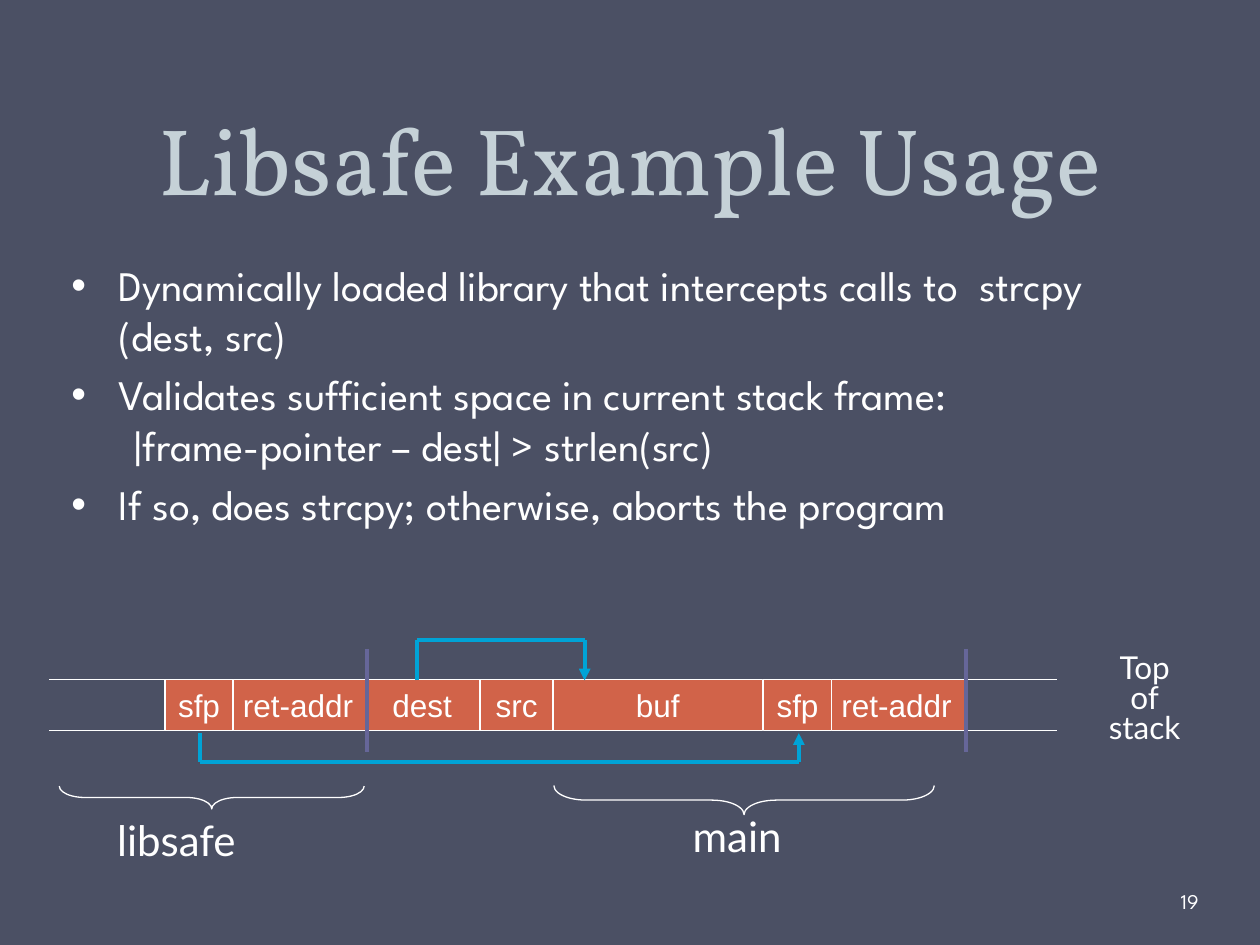
from dataclasses import dataclass
from itertools import pairwise

from lxml import etree
from pptx import Presentation
from pptx.dml.color import RGBColor
from pptx.enum.shapes import MSO_CONNECTOR, MSO_SHAPE
from pptx.enum.text import MSO_ANCHOR, PP_ALIGN
from pptx.oxml.ns import qn
from pptx.util import Pt

RECTANGLE, BRACE = MSO_SHAPE.RECTANGLE, MSO_SHAPE.LEFT_BRACE
STRAIGHT = MSO_CONNECTOR.STRAIGHT
TOP, MIDDLE, BOTTOM = MSO_ANCHOR.TOP, MSO_ANCHOR.MIDDLE, MSO_ANCHOR.BOTTOM
LEFT, CENTER = PP_ALIGN.LEFT, PP_ALIGN.CENTER


@dataclass(frozen=True)
class Theme:
    background: str = "4B5064"
    heading: str = "C5D1D7"
    light: str = "FFFFFF"
    cell: str = "D16349"
    boundary: str = "666699"
    pointer: str = "00A3D6"
    heading_font: str = "Vollkorn"
    body_font: str = "League Spartan"
    cell_font: str = "Arial"
    label_font: str = "Lato"
    title_size: float = 54
    body_size: float = 24
    cell_size: float = 18
    number_size: float = 12
    thin: float = 0.75
    thick: float = 2.25


def write(frame, *paragraphs, font, size, color, align=CENTER, anchor=TOP,
          wrap=False, line_spacing=None, gap=0, bullet_indent=0):
    """Fill a text frame; a newline in a paragraph becomes a line break."""
    frame.word_wrap = wrap
    frame.vertical_anchor = anchor
    for index, words in enumerate(paragraphs):
        paragraph = frame.add_paragraph() if index else frame.paragraphs[0]
        paragraph.text = words
        paragraph.alignment = align
        if line_spacing:
            paragraph.line_spacing = line_spacing
        if index:
            paragraph.space_before = Pt(gap)
        if bullet_indent:
            properties = paragraph._p.get_or_add_pPr()
            properties.set("marL", str(Pt(bullet_indent)))
            properties.set("indent", str(-Pt(bullet_indent)))
            etree.SubElement(properties, qn("a:buFont")).set("typeface", "Arial")
            etree.SubElement(properties, qn("a:buChar")).set("char", "•")
        for run in paragraph.runs:
            run.font.name = font
            run.font.size = Pt(size)
            run.font.color.rgb = RGBColor.from_string(color)


class StackSlide:
    def __init__(self, slide, theme):
        self.slide, self.theme = slide, theme
        fill = slide.background.fill
        fill.solid()
        fill.fore_color.rgb = RGBColor.from_string(theme.background)

    def text(self, box, *paragraphs, **style):
        frame = self.slide.shapes.add_textbox(*map(Pt, box)).text_frame
        write(frame, *paragraphs, **style)
        return frame

    def outlined(self, kind, box):
        shape = self.slide.shapes.add_shape(kind, *map(Pt, box))
        shape.shadow.inherit = False
        shape.line.color.rgb = RGBColor.from_string(self.theme.light)
        shape.line.width = Pt(self.theme.thin)
        return shape

    def cell(self, name, left, width):
        shape = self.outlined(RECTANGLE, (left, CELL_TOP, width, CELL_HEIGHT))
        shape.fill.solid()
        shape.fill.fore_color.rgb = RGBColor.from_string(self.theme.cell)
        write(shape.text_frame, name, font=self.theme.cell_font,
              size=self.theme.cell_size, color=self.theme.light, anchor=MIDDLE)

    def brace(self, box, curve):
        shape = self.outlined(BRACE, box)
        shape.fill.background()
        shape.rotation = 270
        shape.adjustments[0] = curve

    def line(self, start, end, color, width, arrow=False):
        line = self.slide.shapes.add_connector(STRAIGHT, *map(Pt, start + end))
        line.line.color.rgb = RGBColor.from_string(color)
        line.line.width = Pt(width)
        if arrow:
            tail = etree.SubElement(line.line._get_or_add_ln(), qn("a:tailEnd"))
            tail.set("type", "triangle")
        etree.SubElement(line._element.spPr, qn("a:effectLst"))

    def pointer(self, *corners):
        segments = list(pairwise(corners))
        for start, end in segments:
            self.line(start, end, self.theme.pointer, self.theme.thick,
                      arrow=end == corners[-1])


# Stack geometry, in points
CELL_TOP, CELL_HEIGHT = 388.1, 29.5
RAIL_YS = (388.5, 417.6)
SFP_WIDTH, RETURN_WIDTH = 38.9, 79.9


def main():
    theme = Theme()
    deck = Presentation()
    deck.slide_width, deck.slide_height = Pt(720), Pt(540)
    page = StackSlide(deck.slides.add_slide(deck.slide_layouts[6]), theme)

    # Title, points and page number
    page.text((36, 0, 648, 126), "Libsafe Example Usage",
              font=theme.heading_font, size=theme.title_size,
              color=theme.heading, anchor=BOTTOM, wrap=True,
              line_spacing=Pt(58))
    page.text((33.8, 144.7, 648, 356.4),
              "Dynamically loaded library that intercepts calls to  strcpy (dest, src)",
              "Validates sufficient space in current stack frame:\n"
              "\t|frame-pointer – dest| > strlen(src)",
              "If so, does strcpy; otherwise, aborts the program",
              font=theme.body_font, size=theme.body_size, color=theme.light,
              align=LEFT, wrap=True, gap=5, bullet_indent=27)
    number = page.text((672.5, 500.4, 43.9, 28.8), "19", font=theme.body_font,
                       size=theme.number_size, color=theme.light, align=LEFT,
                       anchor=MIDDLE, wrap=True)
    number.margin_left = Pt(2.2)

    # Open ends of the stack
    for y in RAIL_YS:
        for left, right in ((28.1, 94.3), (538, 604.1)):
            page.line((left, y), (right, y), theme.light, theme.thin)

    # Stack cells; each sfp overlaps its return address
    for name, left, width in (
        ("dest", 208.1, 66.2),
        ("ret-addr", 130.3, RETURN_WIDTH),
        ("sfp", 94.3, SFP_WIDTH),
        ("src", 274.3, 41.8),
        ("buf", 316.1, 119.5),
        ("ret-addr", 472.3, RETURN_WIDTH),
        ("sfp", 436.3, SFP_WIDTH),
    ):
        page.cell(name, left, width)

    # Frame boundaries
    for x in (209.5, 552.2):
        page.line((x, 370.8), (x, 429.8), theme.boundary, theme.thick)

    # Saved frame pointer to main's frame, and dest to buf
    page.pointer((114.5, 419), (114.5, 435.6), (456.5, 435.6), (456.5, 419))
    page.pointer((238.3, 388.8), (238.3, 365.8), (334.1, 365.8), (334.1, 388.8))

    # Frame braces and labels
    page.brace((114.5, 368.6, 13, 174.2), 1.115)
    page.brace((416.9, 348.5, 16.6, 217.4), 1.108)
    for name, box in (("libsafe", (59.8, 462.2, 82.1, 36)),
                      ("main", (388.1, 459.4, 66.2, 36))):
        page.text(box, name, font=theme.label_font, size=theme.body_size,
                  color=theme.light)
    page.text((626.4, 370.8, 55.4, 59.8), "Top\nof\nstack",
              font=theme.label_font, size=theme.cell_size, color=theme.light,
              line_spacing=0.8)

    deck.save("out.pptx")


if __name__ == "__main__":
    main()
